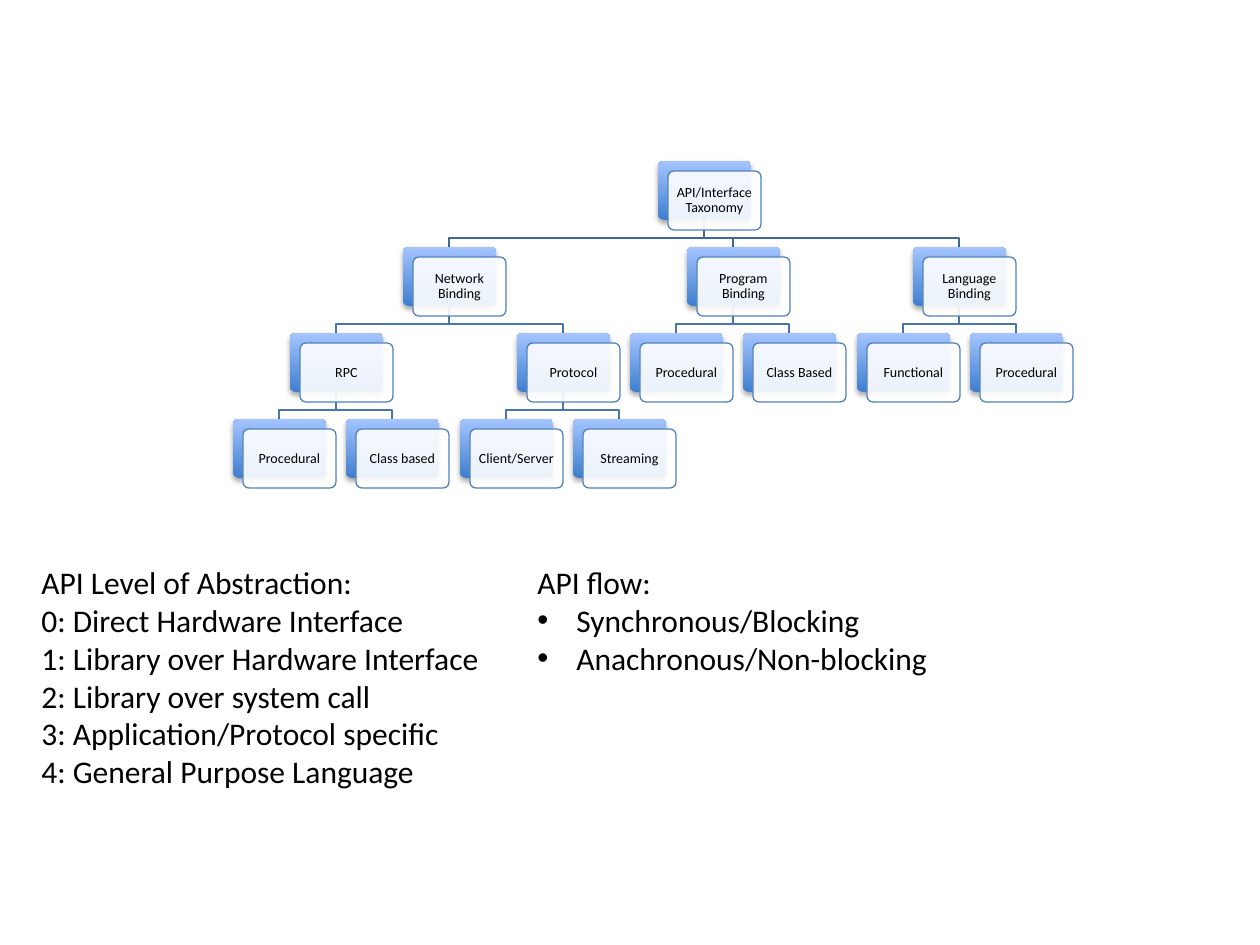
from dataclasses import dataclass

from lxml import etree
from pptx import Presentation
from pptx import util as u
from pptx.dml.color import RGBColor
from pptx.enum import shapes, text
from pptx.oxml import ns

PX = 914400 // 126
FONT = "Calibri"
BLACK, WHITE = "000000", "FFFFFF"

# Tree grid: ten slots span 567 px, so slots stay exact in whole numbers
TREE_LEFT, TREE_TOP = 233, 161
TEN_SLOTS, ROW_PITCH = 567, 86
BOX_W, BOX_H = 93, 59
CARD_OFFSET, LABEL_MARGIN, LABEL_INSET = 10, 2, 4
ELBOW_DROP = 18


@dataclass(frozen=True)
class Node:
    """A tree box; a leaf has its own slot, a parent is centred over its children."""
    label: str
    leaf_slot: int = 0
    children: tuple["Node", ...] = ()

    @property
    def slot(self) -> float:
        if not self.children:
            return self.leaf_slot
        return (self.children[0].slot + self.children[-1].slot) / 2

    @property
    def left(self) -> int:
        return TREE_LEFT + round(self.slot * TEN_SLOTS / 10)

    @property
    def center(self) -> int:
        return self.left + BOX_W // 2


@dataclass(frozen=True)
class Note:
    left: int
    top: int
    width: int
    height: int
    heading: str
    lines: tuple[str, ...]
    bulleted: bool = False


TAXONOMY = Node("API/Interface Taxonomy", children=(
    Node("Network Binding", children=(
        Node("RPC", children=(Node("Procedural", 0), Node("Class based", 2))),
        Node("Protocol", children=(Node("Client/Server", 4), Node("Streaming", 6))),
    )),
    Node("Program Binding", children=(Node("Procedural", 7), Node("Class Based", 9))),
    Node("Language Binding", children=(Node("Functional", 11), Node("Procedural", 13))),
))

NOTES = (
    Note(29, 557, 630, 242, "API Level of Abstraction:", (
        "0: Direct Hardware Interface",
        "1: Library over Hardware Interface",
        "2: Library over system call",
        "3: Application/Protocol specific",
        "4: General Purpose Language",
    )),
    Note(525, 557, 630, 127, "API flow:",
         ("Synchronous/Blocking", "Anachronous/Non-blocking"), bulleted=True),
)


def px(*lengths: int) -> list[int]:
    return [length * PX for length in lengths]


def color(value: str) -> RGBColor:
    return RGBColor.from_string(value)


def add_xml(parent, tag: str, **attributes: str):
    return etree.SubElement(parent, ns.qn(tag), attributes)


def style_text(paragraph, size: int) -> None:
    for run in paragraph.runs:
        run.font.name = FONT
        run.font.size = u.Pt(size)
        run.font.color.rgb = color(BLACK)


def draw_elbow(slide, parent: Node, child: Node, row: int) -> None:
    start = TREE_TOP + row * ROW_PITCH + BOX_H
    bend, end = start + ELBOW_DROP, TREE_TOP + (row + 1) * ROW_PITCH
    builder = slide.shapes.build_freeform(parent.center, start, scale=PX)
    builder.add_line_segments(
        [(parent.center, bend), (child.center, bend), (child.center, end)], close=False)
    elbow = builder.convert_to_shape()
    elbow.shadow.inherit = False
    elbow.fill.background()
    elbow.line.color.rgb = color("3F6797" if row == 0 else "4875AC")
    elbow.line.width = u.Pt(0.75)


def add_rounded_box(slide, left: int, top: int):
    box = slide.shapes.add_shape(
        shapes.MSO_SHAPE.ROUNDED_RECTANGLE, *px(left, top, BOX_W, BOX_H))
    box.adjustments[0] = 0.1
    box.shadow.inherit = False
    return box


def draw_box(slide, node: Node, row: int) -> None:
    left, top = node.left, TREE_TOP + row * ROW_PITCH

    # Gradient box behind, with a soft shadow below
    back = add_rounded_box(slide, left, top)
    back.fill.gradient()
    back.fill.gradient_angle = 90
    for stop, shade in zip(back.fill.gradient_stops, ("3F7FCE", "A4C4FF")):
        stop.color.rgb = color(shade)
    back.line.fill.background()
    effects = back.element.spPr.find(ns.qn("a:effectLst"))
    shadow = add_xml(effects, "a:outerShdw", blurRad="39400", dist="22900",
                     dir="5400000", rotWithShape="0")
    shadow_color = add_xml(shadow, "a:srgbClr", val=BLACK)
    add_xml(shadow_color, "a:alpha", val="35000")

    # Translucent card in front
    left, top = left + CARD_OFFSET, top + CARD_OFFSET
    card = add_rounded_box(slide, left, top)
    card.fill.solid()
    card.fill.fore_color.rgb = color(WHITE)
    card_color = card.element.spPr.find(ns.qn("a:solidFill"))[0]
    add_xml(card_color, "a:alpha", val="90000")
    card.line.color.rgb = color("4F81BD")
    card.line.width = u.Pt(0.75)

    # Label
    label = slide.shapes.add_textbox(*px(
        left + LABEL_MARGIN, top + LABEL_MARGIN,
        BOX_W - 2 * LABEL_MARGIN, BOX_H - 2 * LABEL_MARGIN))
    frame = label.text_frame
    frame.word_wrap = True
    frame.vertical_anchor = text.MSO_ANCHOR.MIDDLE
    (frame.margin_left, frame.margin_top,
     frame.margin_right, frame.margin_bottom) = px(*[LABEL_INSET] * 4)
    frame.text = node.label
    paragraph = frame.paragraphs[0]
    paragraph.alignment = text.PP_ALIGN.CENTER
    paragraph.line_spacing = 0.9
    paragraph.space_after = u.Pt(2.8)
    style_text(paragraph, 8)


def draw_elbows(slide, node: Node, row: int = 0) -> None:
    for child in node.children:
        draw_elbow(slide, node, child, row)
        draw_elbows(slide, child, row + 1)


def draw_boxes(slide, node: Node, row: int = 0) -> None:
    draw_box(slide, node, row)
    for child in node.children:
        draw_boxes(slide, child, row + 1)


def draw_note(slide, note: Note) -> None:
    box = slide.shapes.add_textbox(*px(note.left, note.top, note.width, note.height))
    frame = box.text_frame
    frame.word_wrap = True
    frame.auto_size = text.MSO_AUTO_SIZE.SHAPE_TO_FIT_TEXT
    frame.text = "\n".join((note.heading, *note.lines))
    for paragraph in frame.paragraphs:
        style_text(paragraph, 18)
    if note.bulleted:
        indent = 39 * PX
        for paragraph in frame.paragraphs[1:]:
            properties = paragraph._p.get_or_add_pPr()
            properties.set("marL", str(indent))
            properties.set("indent", str(-indent))
            add_xml(properties, "a:buFont", typeface="Arial")
            add_xml(properties, "a:buChar", char="•")


def main() -> None:
    deck = Presentation()
    deck.slide_width, deck.slide_height = u.Inches(10), u.Inches(7.5)
    slide = deck.slides.add_slide(deck.slide_layouts[6])

    # Taxonomy tree, connecting lines behind the boxes
    draw_elbows(slide, TAXONOMY)
    draw_boxes(slide, TAXONOMY)

    # Notes below the tree
    for note in NOTES:
        draw_note(slide, note)

    deck.save("out.pptx")


if __name__ == "__main__":
    main()
